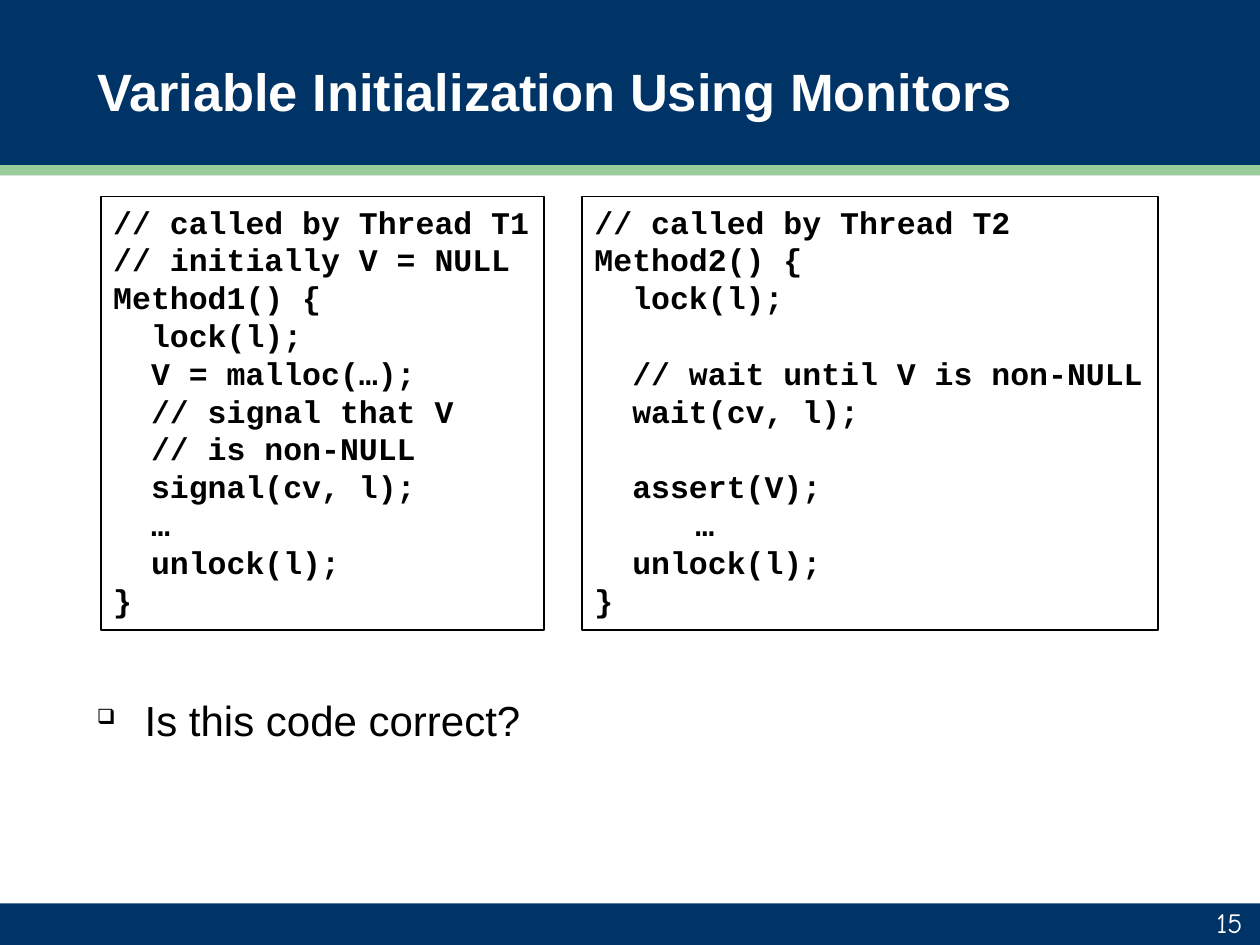
import pptx
import pptx.util
import pptx.dml.color
import pptx.enum.shapes
import pptx.enum.text
import pptx.oxml.ns
import lxml.etree

Inches = pptx.util.Inches
Pt = pptx.util.Pt
RGBColor = pptx.dml.color.RGBColor
ANCHOR = pptx.enum.text.MSO_ANCHOR
ALIGN = pptx.enum.text.PP_ALIGN
RECTANGLE = pptx.enum.shapes.MSO_SHAPE.RECTANGLE

NAVY = RGBColor(0x00, 0x33, 0x66)
GREEN = RGBColor(0x99, 0xCC, 0x99)
WHITE = RGBColor(0xFF, 0xFF, 0xFF)
BLACK = RGBColor(0x00, 0x00, 0x00)


def add_text(paragraph, text, font_name, size, color, bold=False):
    run = paragraph.add_run()
    run.text = text
    run.font.name = font_name
    run.font.size = Pt(size)
    run.font.bold = bold
    run.font.color.rgb = color


def add_rectangle(left, top, width, height):
    shape = slide.shapes.add_shape(
        RECTANGLE, Inches(left), Inches(top), Inches(width), Inches(height))
    shape.shadow.inherit = False
    return shape


presentation = pptx.Presentation()
presentation.slide_width = Inches(10)
presentation.slide_height = Inches(7.5)
slide = presentation.slides.add_slide(presentation.slide_layouts[5])

# Header and footer bands
for top, height, color in [(0, 1.39, NAVY), (1.31, 0.08, GREEN), (7.17, 0.33, NAVY)]:
    band = add_rectangle(0, top, 10, height)
    band.fill.solid()
    band.fill.fore_color.rgb = color
    band.line.fill.background()

# Title, brought in front of the header band
title = slide.shapes.title
title.left, title.top = Inches(0.67), Inches(0.05)
title.width, title.height = Inches(8.67), Inches(1.33)
title.element.getparent().append(title.element)
title.text_frame.auto_size = pptx.enum.text.MSO_AUTO_SIZE.NONE
title.text_frame.vertical_anchor = ANCHOR.MIDDLE
paragraph = title.text_frame.paragraphs[0]
paragraph.alignment = ALIGN.LEFT
add_text(paragraph, "Variable Initialization Using Monitors", "Arial", 30, WHITE, True)

# Code boxes, one per thread
METHOD1 = """// called by Thread T1
// initially V = NULL
Method1() {
  lock(l);
  V = malloc(…);
  // signal that V
  // is non-NULL
  signal(cv, l);
  …
  unlock(l);
}"""
METHOD2 = """// called by Thread T2
Method2() {
  lock(l);

  // wait until V is non-NULL
  wait(cv, l);

  assert(V);
\t  …
  unlock(l);
}"""
for left, width, code in [(0.8, 3.52, METHOD1), (4.62, 4.57, METHOD2)]:
    box = add_rectangle(left, 1.56, width, 3.44)
    box.fill.background()
    box.line.color.rgb = BLACK
    box.line.width = Pt(1)
    frame = box.text_frame
    frame.word_wrap = False
    frame.vertical_anchor = ANCHOR.TOP
    for index, line in enumerate(code.split("\n")):
        paragraph = frame.paragraphs[0] if index == 0 else frame.add_paragraph()
        paragraph.alignment = ALIGN.LEFT
        paragraph.font.name = "Courier New"
        paragraph.font.size = Pt(18)
        if line:
            add_text(paragraph, line, "Courier New", 18, BLACK, True)

# Question with a hollow square bullet
question = slide.shapes.add_textbox(Inches(0.67), Inches(5.46), Inches(8.67), Inches(0.5))
question.text_frame.word_wrap = True
paragraph = question.text_frame.paragraphs[0]
properties = paragraph._p.get_or_add_pPr()
properties.set("marL", str(Inches(0.38)))
properties.set("indent", str(Inches(-0.38)))
qn = pptx.oxml.ns.qn
bullet_color = lxml.etree.SubElement(properties, qn("a:buClr"))
lxml.etree.SubElement(bullet_color, qn("a:srgbClr"), val=str(BLACK))
lxml.etree.SubElement(properties, qn("a:buSzPct"), val="50000")
lxml.etree.SubElement(properties, qn("a:buChar"), char="❑")
add_text(paragraph, "Is this code correct?", "Arial", 24, BLACK)

# Slide number
number = slide.shapes.add_textbox(Inches(7.88), Inches(7.18), Inches(2.08), Inches(0.32))
number.text_frame.word_wrap = True
number.text_frame.vertical_anchor = ANCHOR.BOTTOM
paragraph = number.text_frame.paragraphs[0]
paragraph.alignment = ALIGN.RIGHT
add_text(paragraph, "15", "Comic Neue", 16, WHITE)

presentation.save("out.pptx")
